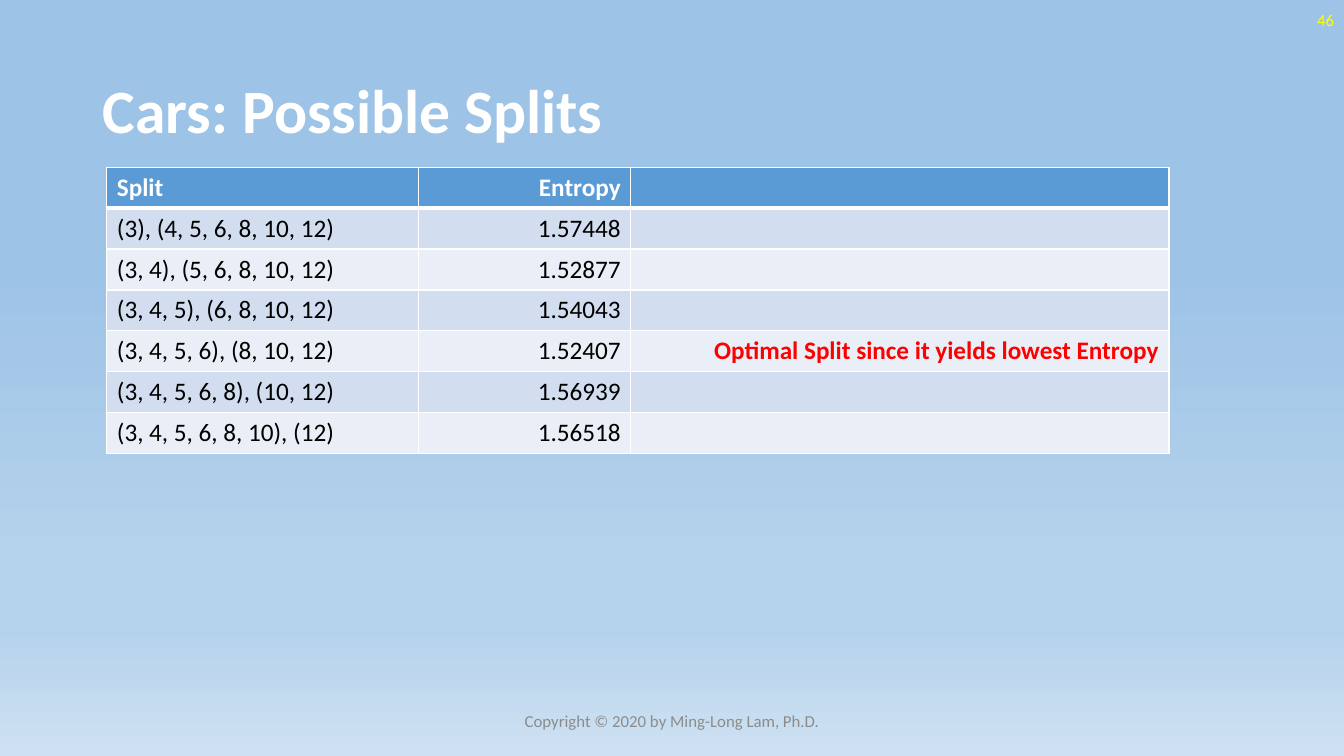
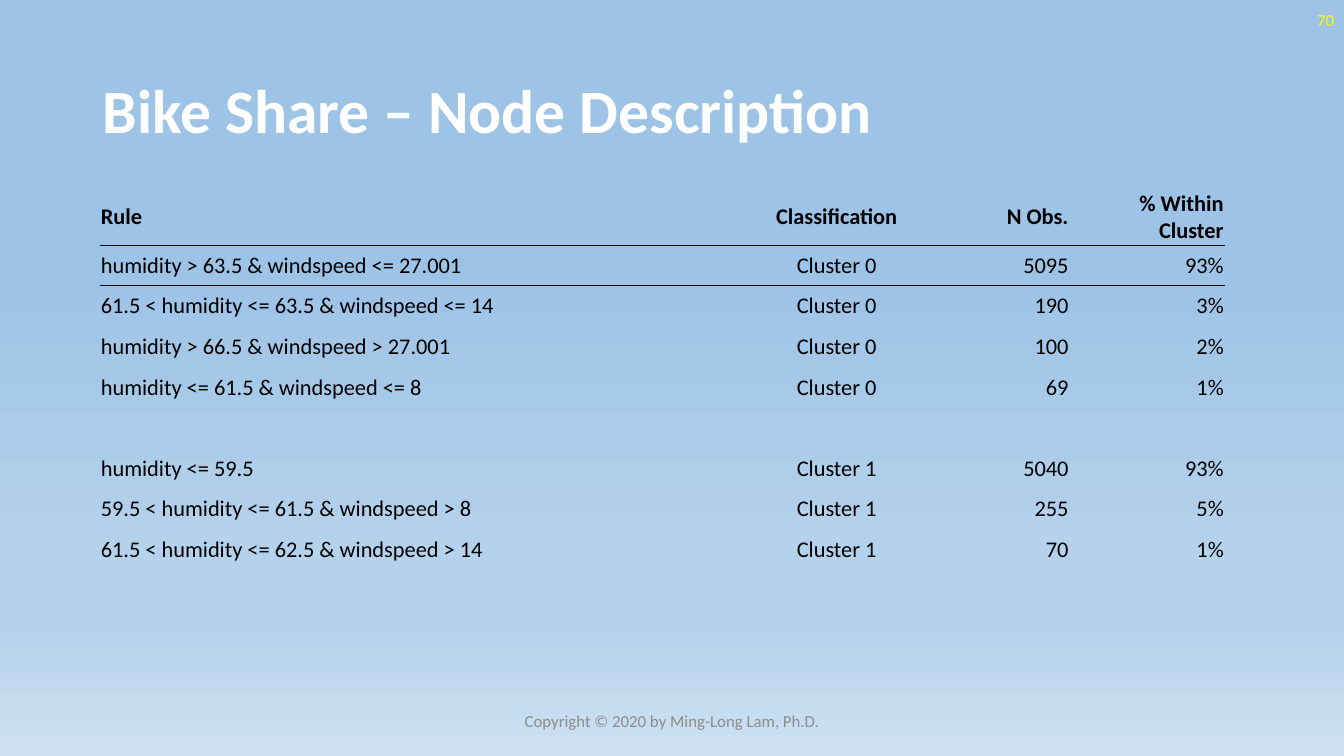
from dataclasses import dataclass

from lxml import etree
from pptx import Presentation
from pptx.dml.color import RGBColor
from pptx.enum.text import MSO_ANCHOR, PP_ALIGN
from pptx.oxml.ns import qn
from pptx.util import Inches, Pt

LEFT, CENTER, RIGHT = PP_ALIGN.LEFT, PP_ALIGN.CENTER, PP_ALIGN.RIGHT
TOP, MIDDLE = MSO_ANCHOR.TOP, MSO_ANCHOR.MIDDLE

SLIDE_WIDTH, SLIDE_HEIGHT = Inches(13.333), Inches(7.5)
FONT = "Calibri"
TITLE_ONLY = 5
PLAIN_TABLE_STYLE = "{2D5ABB26-0587-4C30-8999-92F81FD0307C}"
COPYRIGHT = "Copyright © 2020 by Ming-Long Lam, Ph.D."
COLORS = {
    "white": "FFFFFF",
    "black": "000000",
    "footer": "8C8C8C",
    "number": "FFFF00",
    "highlight": "FF0000",
    "header": "5B9BD5",
    "odd_row": "D2DEEF",
    "even_row": "EAEFF7",
    "sky": "9DC3E6",
    "haze": "B5D2EC",
    "horizon": "CEE1F2",
}
BACKGROUND_STOPS = [(35, "sky"), (74, "haze"), (83, "haze"), (100, "horizon")]


@dataclass(frozen=True)
class Area:
    """Percentages of the slide's width and height."""

    left: float
    top: float
    width: float
    height: float

    def place(self) -> tuple[int, int, int, int]:
        return across(self.left), down(self.top), across(self.width), down(self.height)


@dataclass(frozen=True)
class TextStyle:
    size: float
    color: str
    bold: bool = False
    align: PP_ALIGN = LEFT


@dataclass(frozen=True)
class Column:
    width: float
    align: PP_ALIGN


@dataclass(frozen=True)
class TableDesign:
    left: float
    top: float
    columns: list[Column]
    header_height: float
    row_height: float
    size: float
    header_color: str
    anchor: MSO_ANCHOR
    banded: bool
    margin: float | None = None


TITLE_AREA = Area(6.9, 5.33, 86.25, 19.33)
FOOTER_AREA = Area(33.13, 92.67, 33.75, 5.33)
NUMBER_AREA = Area(77.5, 0, 22.5, 5.33)
TITLE_STYLE = TextStyle(44, "white", bold=True)
FOOTER_STYLE = TextStyle(12, "footer", align=CENTER)
NUMBER_STYLE = TextStyle(12, "number", align=RIGHT)

SPLIT_DESIGN = TableDesign(
    7.95, 22.13,
    [Column(23.17, LEFT), Column(15.82, RIGHT), Column(40.05, RIGHT)],
    5.41, 5.41, 18, "white", TOP, banded=True,
)
OPTIMAL = "Optimal Split since it yields lowest Entropy"
SPLITS = [
    ("Split", "Entropy", ""),
    ("(3), (4, 5, 6, 8, 10, 12)", "1.57448", ""),
    ("(3, 4), (5, 6, 8, 10, 12)", "1.52877", ""),
    ("(3, 4, 5), (6, 8, 10, 12)", "1.54043", ""),
    ("(3, 4, 5, 6), (8, 10, 12)", "1.52407", OPTIMAL),
    ("(3, 4, 5, 6, 8), (10, 12)", "1.56939", ""),
    ("(3, 4, 5, 6, 8, 10), (12)", "1.56518", ""),
]

NODE_DESIGN = TableDesign(
    7.43, 24.93,
    [Column(49.05, LEFT), Column(11.55, CENTER), Column(11.55, RIGHT), Column(11.55, RIGHT)],
    7.47, 5.37, 16, "black", MIDDLE, banded=False, margin=0.01,
)
NODES = [
    ("Rule", "Classification", "N Obs.", "% Within Cluster"),
    ("humidity > 63.5 & windspeed <= 27.001", "Cluster 0", "5095", "93%"),
    ("61.5 < humidity <= 63.5 & windspeed <= 14", "Cluster 0", "190", "3%"),
    ("humidity > 66.5 & windspeed > 27.001", "Cluster 0", "100", "2%"),
    ("humidity <= 61.5 & windspeed <= 8", "Cluster 0", "69", "1%"),
    ("", "", "", ""),
    ("humidity <= 59.5", "Cluster 1", "5040", "93%"),
    ("59.5 < humidity <= 61.5 & windspeed > 8", "Cluster 1", "255", "5%"),
    ("61.5 < humidity <= 62.5 & windspeed > 14", "Cluster 1", "70", "1%"),
]


def across(percent: float) -> int:
    return round(SLIDE_WIDTH * percent / 100)


def down(percent: float) -> int:
    return round(SLIDE_HEIGHT * percent / 100)


def rgb(name: str) -> RGBColor:
    return RGBColor.from_string(COLORS[name])


def write(frame, text: str, style: TextStyle) -> None:
    frame.text = text
    para = frame.paragraphs[0]
    para.alignment = style.align
    for font in [para.font, *(span.font for span in para.runs)]:
        font.name = FONT
        font.size = Pt(style.size)
        font.bold = style.bold
        font.color.rgb = rgb(style.color)


def paint_background(master) -> None:
    fill = master.background.fill
    fill.gradient()
    fill.gradient_angle = 270
    stops = next(master.element.iter(qn("a:gsLst")))
    for stop in list(stops):
        stops.remove(stop)
    for percent, color in BACKGROUND_STOPS:
        stop = etree.SubElement(stops, qn("a:gs"), pos=str(percent * 1000))
        etree.SubElement(stop, qn("a:srgbClr"), val=COLORS[color])


def add_label(page, area: Area, text: str, style: TextStyle) -> None:
    frame = page.shapes.add_textbox(*area.place()).text_frame
    frame.word_wrap = True
    frame.vertical_anchor = MIDDLE
    write(frame, text, style)


def add_page(deck, title: str, number: int):
    page = deck.slides.add_slide(deck.slide_layouts[TITLE_ONLY])
    box = page.shapes.title
    box.left, box.top, box.width, box.height = TITLE_AREA.place()
    write(box.text_frame, title, TITLE_STYLE)
    box.text_frame.vertical_anchor = MIDDLE
    box.text_frame.paragraphs[0].line_spacing = 0.9
    add_label(page, FOOTER_AREA, COPYRIGHT, FOOTER_STYLE)
    add_label(page, NUMBER_AREA, str(number), NUMBER_STYLE)
    return page


def set_borders(cell, color: str, widths: dict[str, float]) -> None:
    properties = cell._tc.get_or_add_tcPr()
    for index, side in enumerate(side for side in "LRTB" if side in widths):
        line = etree.Element(qn(f"a:ln{side}"), w=str(Pt(widths[side])))
        fill = etree.SubElement(line, qn("a:solidFill"))
        etree.SubElement(fill, qn("a:srgbClr"), val=COLORS[color])
        properties.insert(index, line)


def style_cell(cell, row: int, design: TableDesign) -> None:
    cell.vertical_anchor = design.anchor
    if design.margin is not None:
        cell.margin_left = cell.margin_right = cell.margin_top = Inches(design.margin)
        cell.margin_bottom = 0
    rule_side = {0: "B", 1: "T"}.get(row)
    if design.banded:
        band = "odd_row" if row % 2 else "even_row"
        cell.fill.solid()
        cell.fill.fore_color.rgb = rgb(band if row else "header")
        widths = {side: 3 if side == rule_side else 1 for side in "LRTB"}
        set_borders(cell, "white", widths)
    else:
        cell.fill.background()
        if rule_side:
            set_borders(cell, "black", {rule_side: 0.5})


def add_data_table(page, design: TableDesign, rows: list[tuple[str, ...]]):
    heights = [design.header_height] + [design.row_height] * (len(rows) - 1)
    total_width = sum(column.width for column in design.columns)
    area = Area(design.left, design.top, total_width, sum(heights))
    table = page.shapes.add_table(len(rows), len(design.columns), *area.place()).table
    table.first_row = table.horz_banding = False
    next(table._tbl.iter(qn("a:tableStyleId"))).text = PLAIN_TABLE_STYLE
    for index, column in enumerate(design.columns):
        table.columns[index].width = across(column.width)
    for row, (values, height) in enumerate(zip(rows, heights)):
        table.rows[row].height = down(height)
        for index, (text, column) in enumerate(zip(values, design.columns)):
            cell = table.cell(row, index)
            color = "black" if row else design.header_color
            if text == OPTIMAL:
                color = "highlight"
            bold = row == 0 or text == OPTIMAL
            style = TextStyle(design.size, color, bold, column.align)
            write(cell.text_frame, text, style)
            style_cell(cell, row, design)


def main() -> None:
    deck = Presentation()
    deck.slide_width, deck.slide_height = SLIDE_WIDTH, SLIDE_HEIGHT
    paint_background(deck.slide_master)
    splits_page = add_page(deck, "Cars: Possible Splits", 46)
    add_data_table(splits_page, SPLIT_DESIGN, SPLITS)
    nodes_page = add_page(deck, "Bike Share – Node Description", 70)
    add_data_table(nodes_page, NODE_DESIGN, NODES)
    deck.save("out.pptx")


if __name__ == "__main__":
    main()
